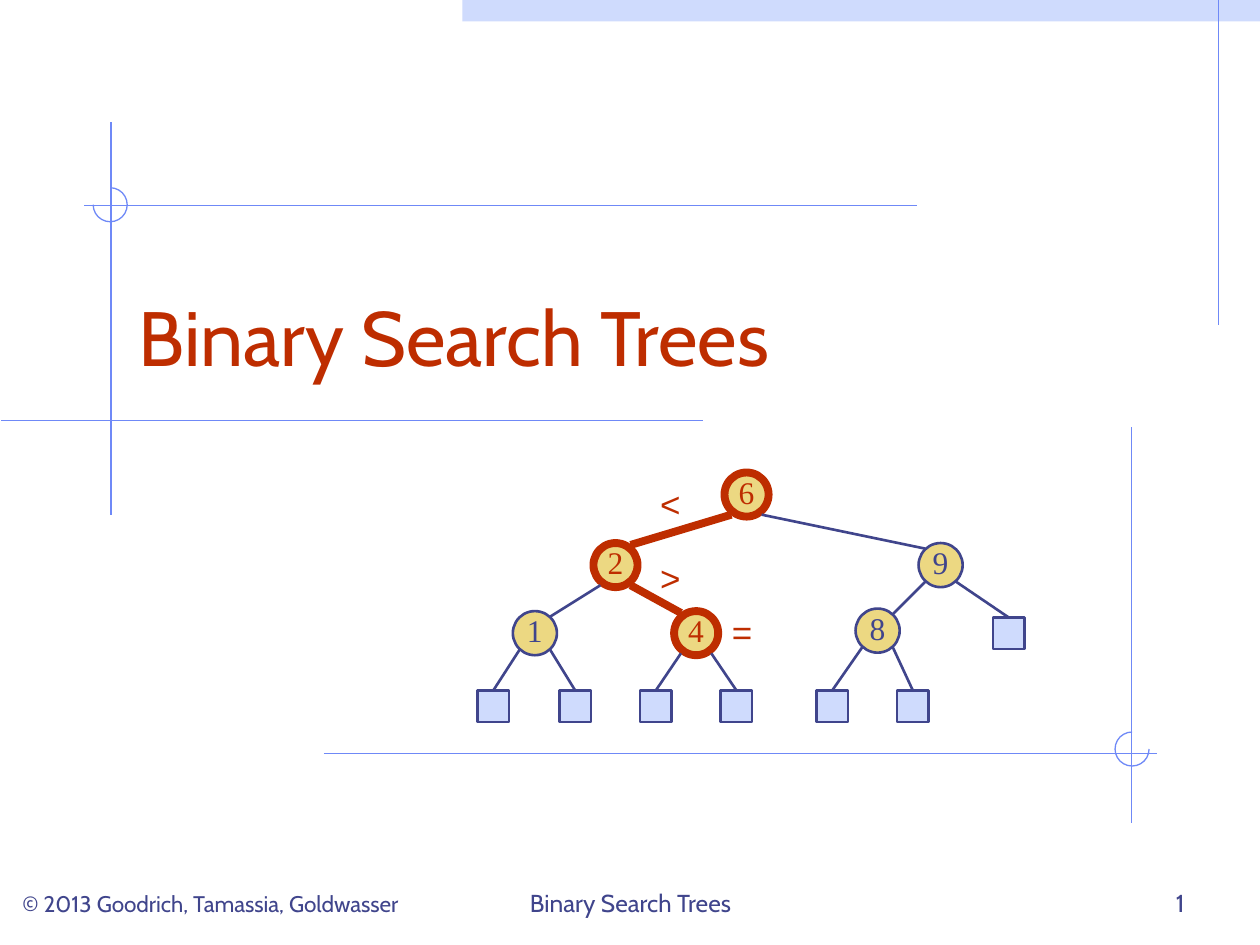
from lxml import etree
from pptx import Presentation
from pptx.dml.color import RGBColor
from pptx.enum.shapes import MSO_CONNECTOR, MSO_SHAPE
from pptx.enum.text import MSO_ANCHOR, MSO_AUTO_SIZE, PP_ALIGN
from pptx.oxml.ns import qn
from pptx.util import Inches, Pt

LINE = MSO_CONNECTOR.STRAIGHT
RECT, OVAL, ARC = MSO_SHAPE.RECTANGLE, MSO_SHAPE.OVAL, MSO_SHAPE.ARC
LEFT, MID, RIGHT = PP_ALIGN.LEFT, PP_ALIGN.CENTER, PP_ALIGN.RIGHT
CENTRE, BASE = MSO_ANCHOR.MIDDLE, MSO_ANCHOR.BOTTOM
FIXED = MSO_AUTO_SIZE.NONE

THEME = {
    "ink": "40458C", "hot": "BE2D00", "node": "ECD882",
    "pale": "CFDBFD", "rule": "6F89F7",
    "sans": "Cabin", "serif": "Times New Roman", "sign": "Arial",
    "title": 44, "foot": 14, "credit": 12.9, "key": 18, "mark": 20,
    "hair": 0.75, "thin": 1.5, "thick": 4.5,
}

TITLE = "Binary Search Trees"
FEET = [
    ("© 2013 Goodrich, Tamassia, Goldwasser", 0.08, 3.83, LEFT, "credit"),
    (TITLE, 3.42, 3.17, MID, "foot"),
    ("1", 7.17, 2.33, RIGHT, "foot"),
]
RULES = [
    (9.67, 0, 9.67, 2.58),
    (0.88, 0.97, 0.88, 4.09),
    (0.01, 3.34, 5.58, 3.34),
    (0.67, 1.63, 7.28, 1.63),
    (2.57, 5.98, 9.18, 5.98),
    (8.98, 3.39, 8.98, 6.53),
]
ARCS = [(0.74, 1.49, 270, 180), (8.85, 5.81, 0, 270)]

NODES = {
    "6": (5.75, 3.75), "2": (4.71, 4.31), "9": (7.29, 4.31),
    "1": (4.07, 4.85), "4": (5.35, 4.85), "8": (6.79, 4.83),
}
SEARCH = ["6", "2", "4"]
LEAVES = {
    "1L": (3.79, 5.48), "1R": (4.44, 5.48),
    "4L": (5.08, 5.48), "4R": (5.72, 5.48),
    "8L": (6.48, 5.48), "8R": (7.12, 5.48),
    "9R": (7.88, 4.9),
}
TREE = {
    "6": ("2", "9"), "2": ("1", "4"), "9": ("8", "9R"),
    "1": ("1L", "1R"), "4": ("4L", "4R"), "8": ("8L", "8R"),
}
MARKS = [("<", 5.14, 3.78, 0.36), (">", 5.14, 4.37, 0.36), ("=", 5.68, 4.8, 0.42)]
DISC, BOX, SIDE = 0.35, 0.25, 0.12

prs = Presentation()
prs.slide_width, prs.slide_height = Inches(10), Inches(7.5)
slide = prs.slides.add_slide(prs.slide_layouts[5])
shapes = slide.shapes


def tint(name):
    return RGBColor.from_string(THEME[name])


def place(*nums):
    return [Inches(n) for n in nums]


def write(frame, text, size, face, hue, align, anchor=None):
    frame.text = text
    frame.auto_size = FIXED
    if anchor is not None:
        frame.vertical_anchor = anchor
    para = frame.paragraphs[0]
    para.alignment = align
    font = para.font
    font.size, font.name = Pt(THEME[size]), THEME[face]
    font.color.rgb = tint(hue)


def label(text, spot, size, face, hue, align, anchor=None, wrap=True):
    frame = shapes.add_textbox(*place(*spot)).text_frame
    write(frame, text, size, face, hue, align, anchor)
    frame.word_wrap = wrap


def stroke(item, hue, width):
    item.line.color.rgb = tint(hue)
    item.line.width = Pt(THEME[width])


def draw(kind, spot, fill, hue=None, width=None):
    shape = shapes.add_shape(kind, *place(*spot))
    shape.shadow.inherit = False
    if fill:
        shape.fill.solid()
        shape.fill.fore_color.rgb = tint(fill)
    else:
        shape.fill.background()
    if hue:
        stroke(shape, hue, width)
    else:
        shape.line.fill.background()
    return shape


def join(ends, hue, width):
    link = shapes.add_connector(LINE, *place(*ends))
    stroke(link, hue, width)
    etree.SubElement(link._element.spPr, qn("a:effectLst"))
    return link


def look(key):
    return ("hot", "thick") if key in SEARCH else ("ink", "thin")


def edge(key, side, way):
    x, y = NODES[key]
    drop = 0.16 if key in SEARCH else 0.13
    return x + DISC / 2 + side * SIDE, y + DISC / 2 + way * drop


draw(RECT, (3.67, 0, 6.33, 0.17), "pale")
for ends in RULES:
    join(ends, "rule", "hair")
for x, y, start, stop in ARCS:
    arc = draw(ARC, (x, y, 0.27, 0.27), None, "rule", "hair")
    for i, angle in enumerate((start, stop)):
        arc.adjustments[i] = angle * 0.6

head = shapes.title
head.left, head.top, head.width, head.height = place(1, 1.83, 8.5, 1.25)
write(head.text_frame, TITLE, "title", "sans", "hot", LEFT, BASE)
for text, x, wide, align, size in FEET:
    label(text, (x, 6.83, wide, 0.5), size, "sans", "ink", align, BASE)

for key, (x, y) in NODES.items():
    hue, width = look(key)
    disc = draw(OVAL, (x, y, DISC, DISC), "node", hue, width)
    frame = disc.text_frame
    write(frame, key, "key", "serif", hue, MID, CENTRE)
    frame.margin_left = frame.margin_right = frame.margin_top = 0
    frame.margin_bottom = Inches(0.05)
    frame.word_wrap = False

boxes = {
    name: draw(RECT, (x, y, BOX, BOX), "pale", "ink", "thin")
    for name, (x, y) in LEAVES.items()
}

for key, kids in TREE.items():
    for kid, side in zip(kids, (-1, 1)):
        start = edge(key, side, 1)
        if kid in boxes:
            link = join((*start, *LEAVES[kid]), "ink", "thin")
            link.end_connect(boxes[kid], 0)
        else:
            hue, width = look(kid)
            join((*start, *edge(kid, -side, -1)), hue, width)

for text, x, y, wide in MARKS:
    label(text, (x, y, wide, 0.44), "mark", "sign", "hot", MID, wrap=False)

prs.save("out.pptx")
